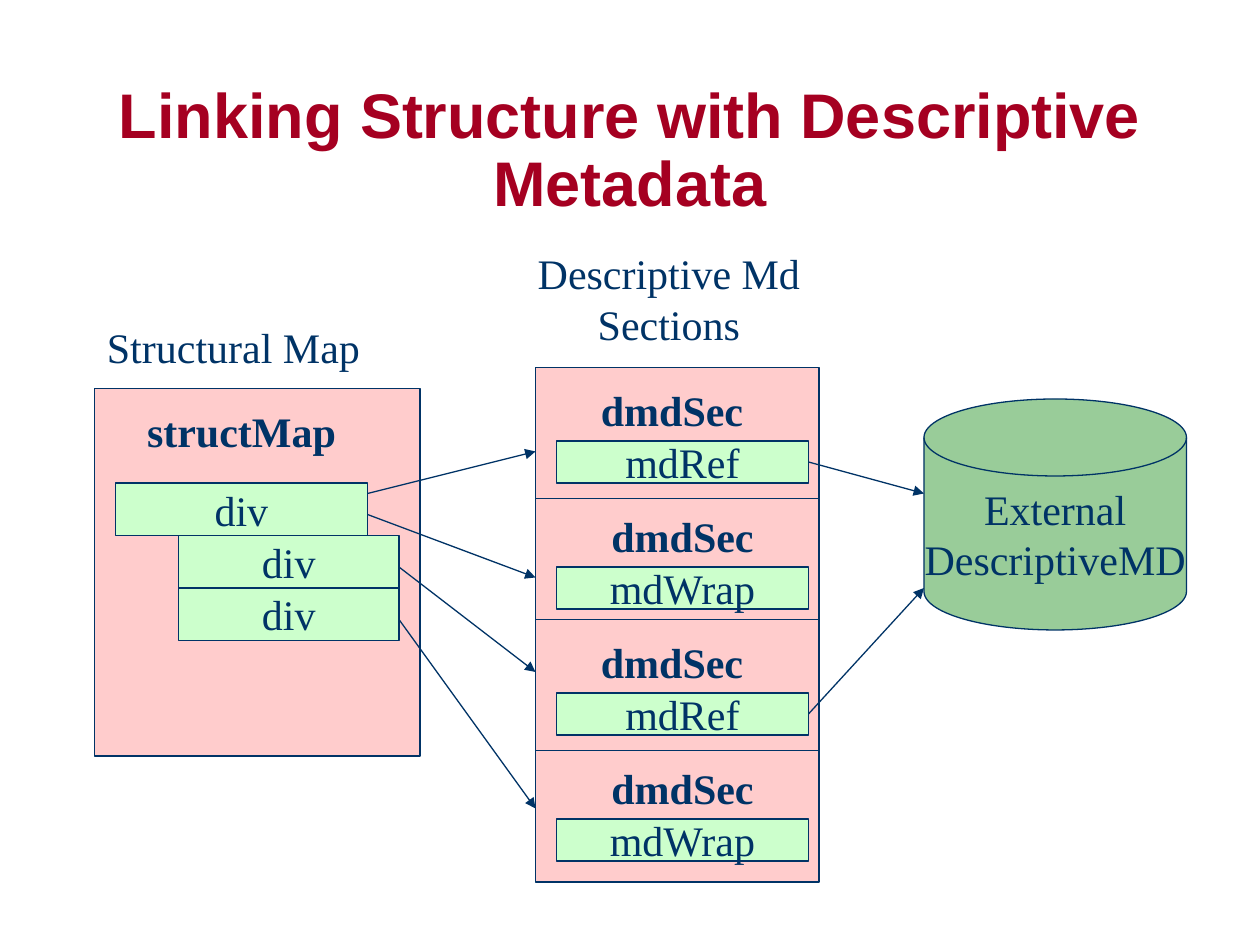
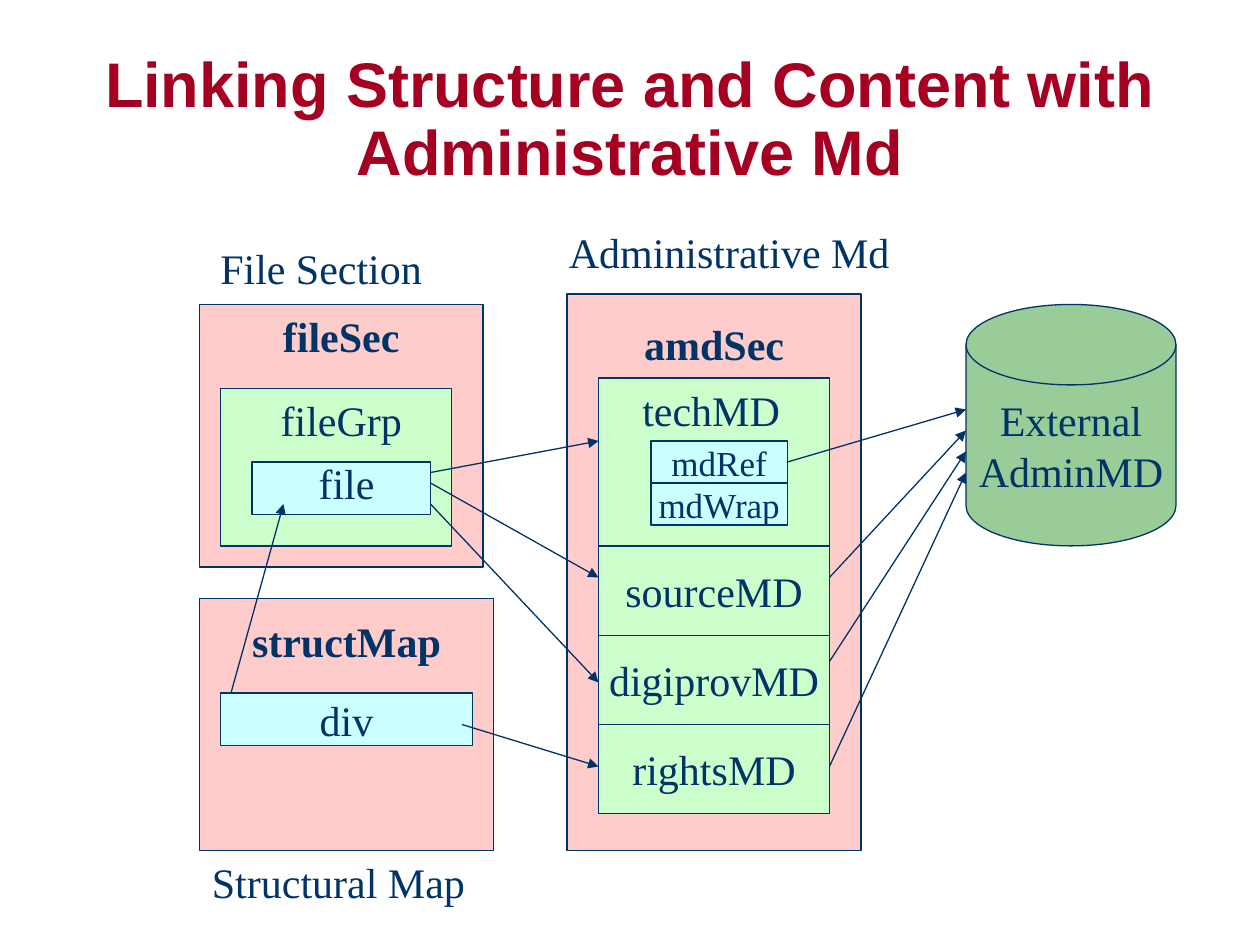
from lxml.etree import SubElement
from pptx import Presentation
from pptx.dml.color import RGBColor
from pptx.enum.shapes import MSO_CONNECTOR, MSO_SHAPE
from pptx.enum.text import MSO_ANCHOR, MSO_AUTO_SIZE, PP_ALIGN
from pptx.oxml.ns import qn
from pptx.util import Cm, Pt

COLORS = {
    "title": "A50021",
    "ink": "003366",
    "section": "FFCCCC",
    "element": "CCFFCC",
    "reference": "CCFFFF",
    "store": "99CC99",
}
GRID = 2.54 / 12
LINE_WIDTH = Pt(0.75)


def add_box(slide, at, text="", fill=None, kind=MSO_SHAPE.RECTANGLE, outline=True, size=24,
            bold=False, align=PP_ALIGN.CENTER, anchor=MSO_ANCHOR.MIDDLE, wrap=False):
    lengths = [Cm(value * GRID) for value in at]
    if fill:
        shape = slide.shapes.add_shape(kind, *lengths)
        shape.shadow.inherit = False
        shape.fill.solid()
        shape.fill.fore_color.rgb = RGBColor.from_string(COLORS[fill])
        if outline:
            shape.line.color.rgb = RGBColor.from_string(COLORS["ink"])
            shape.line.width = LINE_WIDTH
        else:
            shape.line.fill.background()
    else:
        shape = slide.shapes.add_textbox(*lengths)
    frame = shape.text_frame
    frame.word_wrap = wrap
    frame.vertical_anchor = anchor
    frame.text = text
    for paragraph in frame.paragraphs:
        paragraph.alignment = align
        paragraph.font.name = "Times New Roman"
        paragraph.font.size = Pt(size)
        paragraph.font.bold = bold
        paragraph.font.color.rgb = RGBColor.from_string(COLORS["ink"])


def add_arrow(slide, *ends):
    connector = slide.shapes.add_connector(
        MSO_CONNECTOR.STRAIGHT, *[Cm(value * GRID) for value in ends])
    connector.line.color.rgb = RGBColor.from_string(COLORS["ink"])
    connector.line.width = LINE_WIDTH
    properties = connector._element.spPr
    SubElement(properties.find(qn("a:ln")), qn("a:tailEnd"), type="triangle")
    SubElement(properties, qn("a:effectLst"))


presentation = Presentation()
presentation.slide_width = Cm(25.4)
presentation.slide_height = Cm(19.05)

slides = []
for title_text, title_top in [
    ("Linking Structure with Descriptive Metadata", 7),
    ("Linking Structure and Content with Administrative Md", 4),
]:
    slide = presentation.slides.add_slide(presentation.slide_layouts[5])
    title = slide.shapes.title
    title.left, title.top = Cm(0), Cm(title_top * GRID)
    title.width, title.height = presentation.slide_width, Cm(15 * GRID)
    title.text_frame.text = title_text
    title.text_frame.auto_size = MSO_AUTO_SIZE.NONE
    title.text_frame.vertical_anchor = MSO_ANCHOR.MIDDLE
    paragraph = title.text_frame.paragraphs[0]
    paragraph.alignment = PP_ALIGN.CENTER
    paragraph.line_spacing = 0.9
    paragraph.font.name = "Arial"
    paragraph.font.size = Pt(36)
    paragraph.font.bold = True
    paragraph.font.color.rgb = RGBColor.from_string(COLORS["title"])
    slides.append(slide)

caption = {"anchor": MSO_ANCHOR.TOP, "align": PP_ALIGN.LEFT, "wrap": True}
heading = {"anchor": MSO_ANCHOR.TOP, "bold": True, "wrap": True}
store = {"fill": "store", "kind": MSO_SHAPE.FLOWCHART_MAGNETIC_DISK}

descriptive, administrative = slides

add_box(descriptive, (9, 30, 28, 6), "Structural Map", **caption)
add_box(descriptive, (9, 37, 31, 35), fill="section")
add_box(descriptive, (10, 38, 26, 6), "structMap", fill="section", outline=False, **heading)
for left, top, width in [(11, 46, 24), (17, 51, 21), (17, 56, 21)]:
    add_box(descriptive, (left, top, width, 5), "div", fill="element")

add_box(descriptive, (49.5, 23, 28.4, 10.8), "Descriptive Md\nSections", anchor=MSO_ANCHOR.TOP)
for index, content in enumerate(["mdRef", "mdWrap"] * 2):
    pair, position = divmod(index, 2)
    add_box(descriptive, (51, 35 + 24 * pair + 12.5 * position, 27, 12.5), fill="section")
    add_box(descriptive, (53 + position, 36 + 12 * index, 22, 6), "dmdSec", **heading)
    add_box(descriptive, (53, 42 + 12 * index, 24, 4), content, fill="element")

add_box(descriptive, (88, 38, 25, 22), "External\nDescriptiveMD", **store)
for ends in [
    (35, 47, 51, 43), (35, 49, 51, 55), (38, 54, 51, 64), (38, 59, 51, 77),
    (77, 44, 88, 47), (77, 68, 88, 56),
]:
    add_arrow(descriptive, *ends)

add_box(administrative, (19, 81, 28, 6), "Structural Map", **caption)
add_box(administrative, (19, 57, 28, 24), fill="section")
add_box(administrative, (20, 58, 26, 6), "structMap", fill="section", outline=False, **heading)
add_box(administrative, (21, 66, 24, 5), "div", fill="reference")

add_box(administrative, (19.8, 22.55, 23, 6), "File Section", **caption)
add_box(administrative, (19, 29, 27, 25), fill="section")
add_box(administrative, (19, 29, 27, 6), "fileSec", **heading)
add_box(administrative, (21, 37, 22, 15), fill="element")
add_box(administrative, (22, 37, 21, 6), "fileGrp", anchor=MSO_ANCHOR.TOP)
add_box(administrative, (24, 44, 17, 5), fill="reference")
add_box(administrative, (25, 43, 16, 6), "file", anchor=MSO_ANCHOR.TOP)

add_box(administrative, (53, 21, 35, 6), "Administrative Md", **caption)
add_box(administrative, (54, 28, 28, 53), fill="section")
add_box(administrative, (55, 29.75, 26, 6), "amdSec", **heading)
add_box(administrative, (57, 36, 22, 16), fill="element")
add_box(administrative, (60, 36, 17, 6), "techMD", **caption)
for index, content in enumerate(["mdRef", "mdWrap"]):
    add_box(administrative, (62, 42 + 4 * index, 13, 4), content, fill="reference", size=20)
for index, content in enumerate(["sourceMD", "digiprovMD", "rightsMD"]):
    add_box(administrative, (57, 52 + 8.5 * index, 22, 8.5), content, fill="element")

add_box(administrative, (92, 29, 20, 23), "External\nAdminMD", **store)
for ends in [
    (22, 66, 27, 48), (41, 45, 57, 42), (41, 46, 57, 55), (41, 48, 57, 65), (44, 69, 57, 73),
    (79, 73, 92, 45), (79, 63, 92, 43), (79, 55, 92, 41), (75, 44, 92, 39),
]:
    add_arrow(administrative, *ends)

presentation.save("out.pptx")
